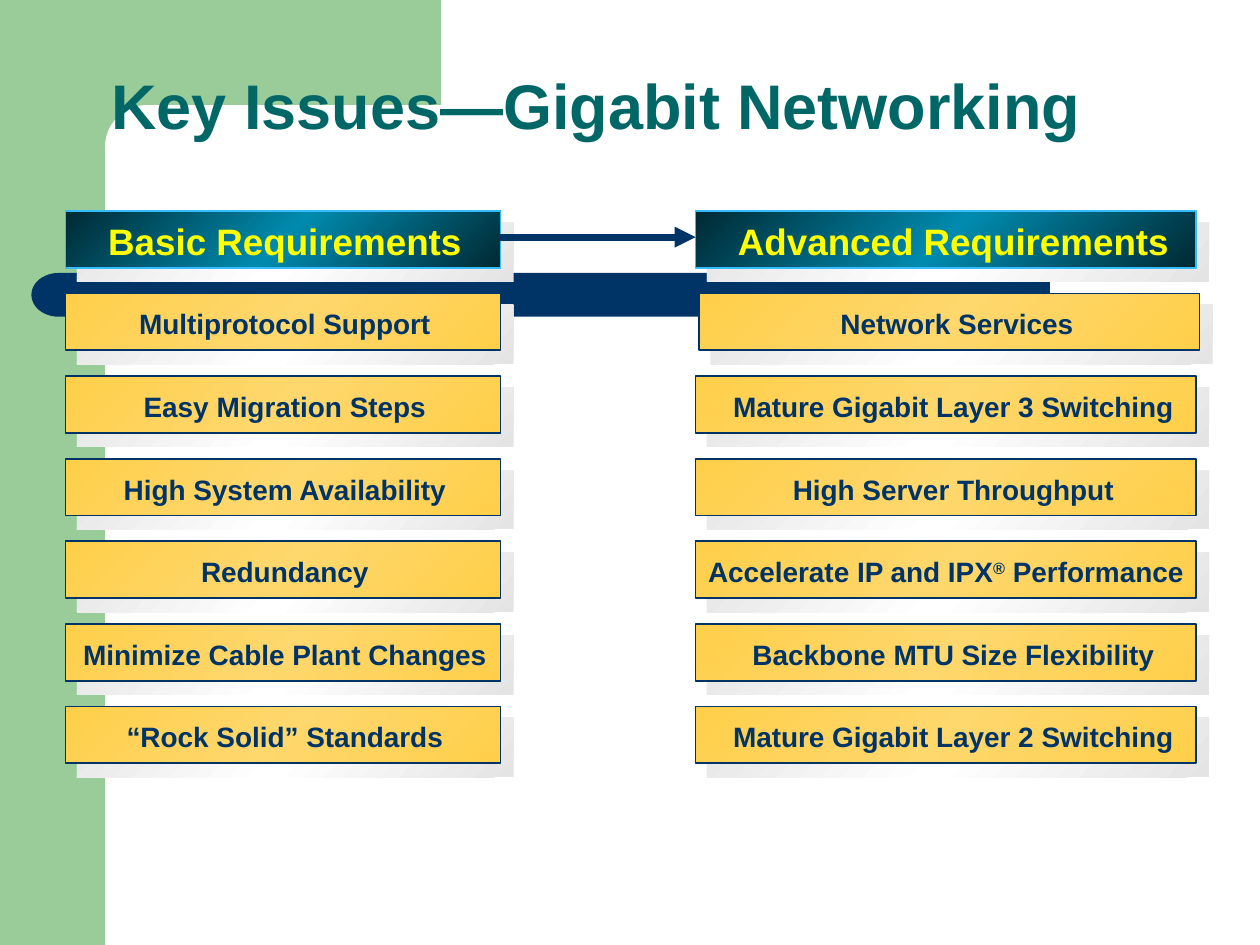
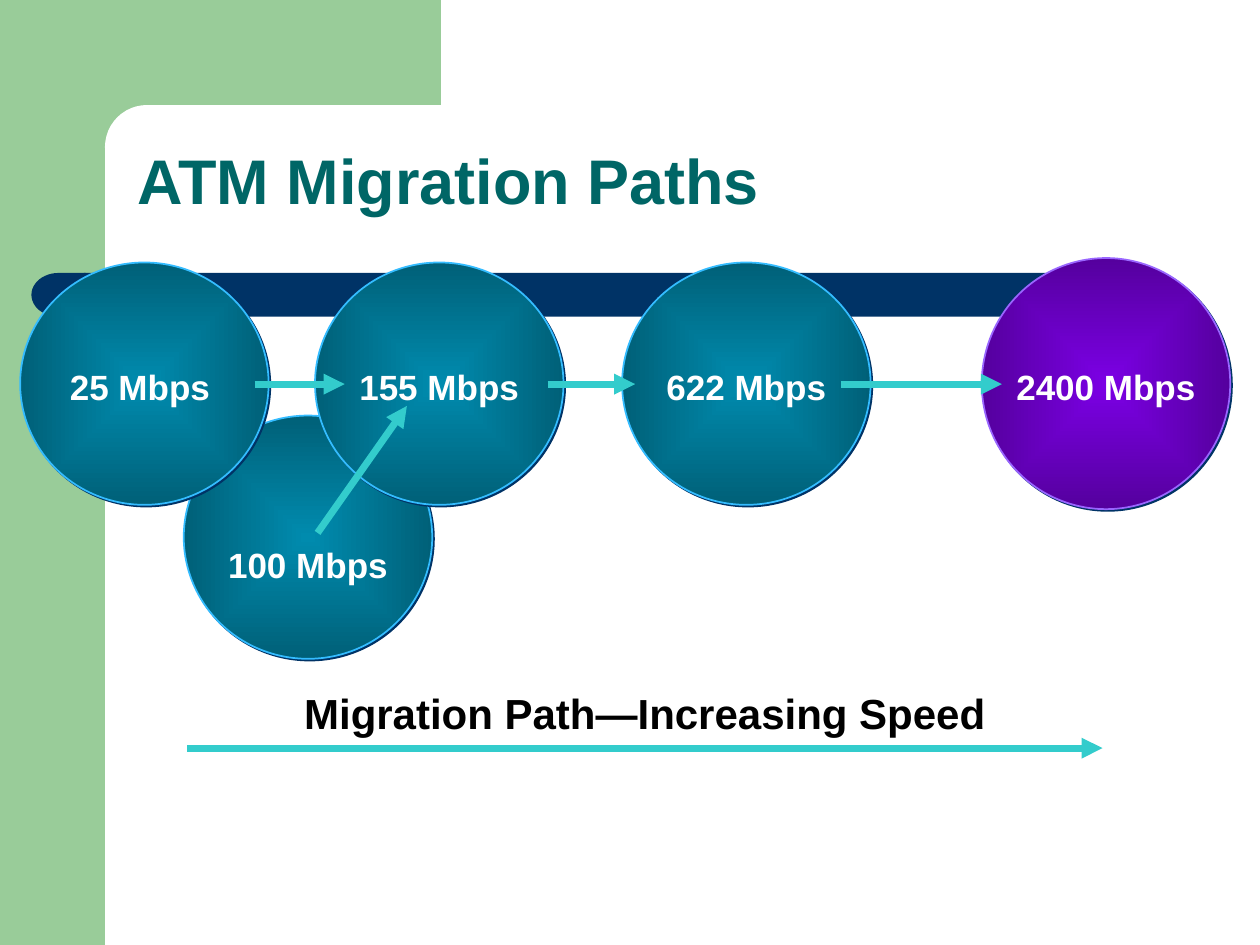
from lxml import etree
from pptx import Presentation, util as u
from pptx.dml.color import RGBColor
from pptx.enum import shapes, text as t
from pptx.oxml import ns

Pt = u.Pt
KIND = shapes.MSO_SHAPE
GREEN = RGBColor(0x99, 0xCC, 0x99)
WHITE = RGBColor(0xFF, 0xFF, 0xFF)
NAVY = RGBColor(0x00, 0x33, 0x66)
TEAL = RGBColor(0x00, 0x66, 0x66)
YELLOW = RGBColor(0xFF, 0xFF, 0x00)
BLACK = RGBColor(0x00, 0x00, 0x00)
AQUA = RGBColor(0x33, 0xCC, 0xCC)
SKY = RGBColor(0x34, 0xBC, 0xFF)
VIOLET = RGBColor(0x99, 0x66, 0xFF)
GRAY = RGBColor(0xE4, 0xE4, 0xE4)
DEEP_TEAL = RGBColor(0x00, 0x29, 0x33)
DARK_BLUE = RGBColor(0x00, 0x60, 0x78)
BLUE = RGBColor(0x00, 0x8B, 0xAE)
GOLD = RGBColor(0xFF, 0xCF, 0x4A)
LIGHT_GOLD = RGBColor(0xFE, 0xD7, 0x6D)
PURPLE = RGBColor(0x7B, 0x00, 0xE4)
DARK_PURPLE = RGBColor(0x55, 0x00, 0x9E)
FONT = "Arial"
DIAGONAL = '<a:lin ang="13500000" scaled="0"/>'
FROM_CENTER = ('<a:path path="rect"><a:fillToRect l="50000" t="50000" '
               'r="50000" b="50000"/></a:path>')


def write(box, text, size, color, align=t.PP_ALIGN.CENTER, dx=0, dy=0,
          wrap=False, spacing=1.0):
    frame = box.text_frame
    frame.auto_size = t.MSO_AUTO_SIZE.NONE
    frame.word_wrap = wrap
    frame.vertical_anchor = t.MSO_ANCHOR.MIDDLE
    frame.margin_left, frame.margin_right = Pt(max(2 * dx, 0)), Pt(max(-2 * dx, 0))
    frame.margin_top, frame.margin_bottom = Pt(2 * dy), 0
    para = frame.paragraphs[0]
    para.alignment = align
    para.line_spacing = spacing
    for part in text.partition("®"):
        if part:
            span = para.add_run()
            span.text = part
            span.font.name, span.font.size, span.font.bold = FONT, Pt(size), True
            span.font.color.rgb = color
            if part == "®":
                span._r.get_or_add_rPr().set("baseline", "30000")


def add_gradient(slide, kind, place, colors, direction, outline=None):
    box = slide.shapes.add_shape(kind, *map(Pt, place))
    box.shadow.inherit = False
    box.fill.background()
    if outline:
        box.line.color.rgb = outline
        box.line.width = Pt(1)
    else:
        box.line.fill.background()
    stops = "".join(
        f'<a:gs pos="{100000 * i // (len(colors) - 1)}"><a:srgbClr val="{color}"/></a:gs>'
        for i, color in enumerate(colors))
    properties = box.element.spPr
    properties.replace(properties.find(ns.qn("a:noFill")), etree.fromstring(
        f'<a:gradFill {ns.nsdecls("a")} rotWithShape="1">'
        f"<a:gsLst>{stops}</a:gsLst>{direction}</a:gradFill>"))
    return box


deck = Presentation()
deck.slide_width, deck.slide_height = Pt(720), Pt(540)
layout = deck.slide_layouts[5]
issues = deck.slides.add_slide(layout)
paths = deck.slides.add_slide(layout)

for kind, place, color in [
    (KIND.RECTANGLE, (0, 0, 60, 540), GREEN),
    (KIND.RECTANGLE, (54, 0, 198, 84), GREEN),
    (KIND.ROUNDED_RECTANGLE, (60, 60, 402, 48), WHITE),
    (KIND.RECTANGLE, (48, 156, 552, 25), NAVY),
    (KIND.FLOWCHART_DELAY, (18, 156, 31, 25), NAVY),
]:
    band = issues.shapes.add_shape(kind, *map(Pt, place))
    band.shadow.inherit = False
    band.fill.solid()
    band.fill.fore_color.rgb = color
    band.line.fill.background()
    if kind == KIND.ROUNDED_RECTANGLE:
        band.adjustments[0] = 0.5
    if kind == KIND.FLOWCHART_DELAY:
        band.element.spPr.xfrm.set("flipH", "1")
    layout.shapes.element.append(band.element)

for slide, title, place in [
    (issues, "Key Issues—Gigabit Networking", (57, 17.5, 663, 90)),
    (paths, "ATM Migration Paths", (72, 60, 630, 90)),
]:
    heading = slide.shapes.title
    heading.left, heading.top, heading.width, heading.height = map(Pt, place)
    write(heading, title, 36, TEAL, align=t.PP_ALIGN.LEFT, dx=3.3, wrap=True, spacing=0.9)

basic = ["Basic Requirements", "Multiprotocol Support", "Easy Migration Steps",
         "High System Availability", "Redundancy", "Minimize Cable Plant Changes",
         "“Rock Solid” Standards"]
advanced = ["Advanced Requirements", "Network Services", "Mature Gigabit Layer 3 Switching",
            "High Server Throughput", "Accelerate IP and IPX® Performance",
            "Backbone MTU Size Flexibility", "Mature Gigabit Layer 2 Switching"]
for labels, left, width, shift in [(basic, 37.5, 248.5, 1), (advanced, 397.5, 286, 4.3)]:
    for row, label in enumerate(labels):
        x = left + 2 * (label == "Network Services")
        y = 120.5 + 47.2 * row
        add_gradient(issues, KIND.RECTANGLE, (x + 6.5, y + 6.5, width + 1, 34),
                     [GRAY, WHITE, GRAY], DIAGONAL)
        colors, outline, size, ink = (
            ([GOLD, LIGHT_GOLD, GOLD], NAVY, 16, NAVY) if row
            else ([DEEP_TEAL, BLUE, DEEP_TEAL], SKY, 21, YELLOW))
        card = add_gradient(issues, KIND.RECTANGLE, (x, y, width, 32.5),
                            colors, DIAGONAL, outline)
        write(card, label, size, ink, dx=0 if "®" in label else shift, dy=1)

teal_look = [BLUE, DARK_BLUE], SKY
purple_look = [PURPLE, DARK_PURPLE], VIOLET
for speed, x, y, height, look, dx, dy in [
    ("100 Mbps", 105, 237.5, 139, teal_look, 0, 15.5),
    ("155 Mbps", 180, 150, 138.5, teal_look, 0, 1.5),
    ("25 Mbps", 11.5, 150, 138.5, teal_look, -2.5, 1.5),
    ("2400 Mbps", 561, 147.5, 143.5, purple_look, 0, 1.5),
    ("622 Mbps", 355.5, 150, 138.5, teal_look, 0, 1.5),
]:
    colors, outline = look
    circle = add_gradient(paths, KIND.OVAL, (x, y, 142, height), colors, FROM_CENTER, outline)
    effects = circle.element.spPr.find(ns.qn("a:effectLst"))
    shadow = etree.SubElement(effects, ns.qn("a:outerShdw"), dist=str(Pt(1.4)),
                              dir="2700000", algn="ctr", rotWithShape="0")
    etree.SubElement(shadow, ns.qn("a:srgbClr"), val=str(NAVY))
    write(circle, speed, 20, WHITE, dx=dx, dy=dy)

caption = paths.shapes.add_textbox(Pt(166.5), Pt(389.5), Pt(404), Pt(36))
write(caption, "Migration Path—Increasing Speed", 24, BLACK)

for slide, color, ends in [
    (issues, NAVY, (286, 135.5, 397.5, 135.5)),
    (paths, AQUA, (107, 427.5, 630, 427.5)),
    (paths, AQUA, (181.5, 304.5, 232.5, 232)),
    (paths, AQUA, (145.5, 219.5, 197, 219.5)),
    (paths, AQUA, (313, 219.5, 363, 219.5)),
    (paths, AQUA, (480.5, 219.5, 572.5, 219.5)),
]:
    arrow = slide.shapes.add_connector(shapes.MSO_CONNECTOR.STRAIGHT, *map(Pt, ends))
    arrow.line.color.rgb = color
    arrow.line.width = Pt(4)
    properties = arrow.element.spPr
    etree.SubElement(properties.find(ns.qn("a:ln")), ns.qn("a:tailEnd"), type="triangle")
    etree.SubElement(properties, ns.qn("a:effectLst"))

deck.save("out.pptx")
